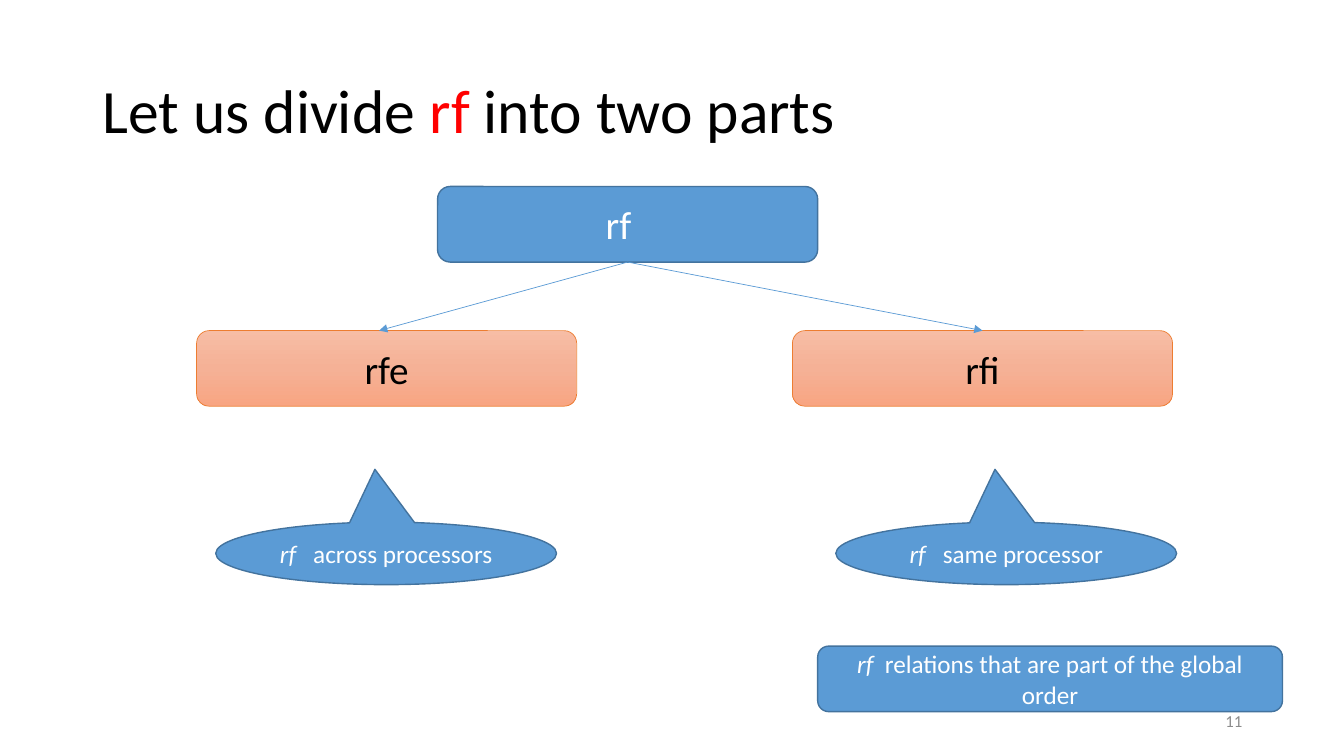
from copy import deepcopy

from pptx import Presentation
from pptx.dml.color import RGBColor
from pptx.enum.shapes import MSO_CONNECTOR, MSO_SHAPE
from pptx.enum.text import MSO_ANCHOR, PP_ALIGN
from pptx.oxml.ns import qn
from pptx.util import Pt
from pptx.oxml.xmlchemy import OxmlElement

PX = 9144  # 100 px to the inch


class Theme:
    font = "Calibri"
    black = RGBColor.from_string("000000")
    white = RGBColor.from_string("FFFFFF")
    red = RGBColor.from_string("FF0000")
    grey = RGBColor.from_string("8C8C8C")
    blue = RGBColor.from_string("5B9BD5")
    blue_edge = RGBColor.from_string("43739E")
    orange_edge = RGBColor.from_string("ED7D31")
    peach = [RGBColor.from_string(code) for code in ("F7BDA5", "F5B196", "F8A582")]
    title_size, node_size, note_size, number_size = Pt(44), Pt(28), Pt(18), Pt(12)


def write(shape, runs, size, alignment=PP_ALIGN.CENTER):
    """Fill the shape with runs of (text, colour, italic, extra letter spacing in points)."""
    frame = shape.text_frame
    frame.word_wrap = True
    frame.vertical_anchor = MSO_ANCHOR.MIDDLE
    paragraph = frame.paragraphs[0]
    paragraph.alignment = alignment
    for text, color, italic, spacing in runs:
        run = paragraph.add_run()
        run.text = text
        run.font.name, run.font.size = Theme.font, size
        run.font.color.rgb, run.font.italic = color, italic
        if spacing:
            run.font._element.set("spc", str(spacing * 100))
    return paragraph


def add_blue_shape(kind, left, top, width, height):
    shape = slide.shapes.add_shape(kind, left * PX, top * PX, width * PX, height * PX)
    shape.shadow.inherit = False
    shape.fill.solid()
    shape.fill.fore_color.rgb = Theme.blue
    shape.line.color.rgb = Theme.blue_edge
    shape.line.width = Pt(1)
    return shape


presentation = Presentation()
presentation.slide_width, presentation.slide_height = 1333 * PX, 750 * PX
slide = presentation.slides.add_slide(presentation.slide_layouts[6])

# Title
title = slide.shapes.add_textbox(92 * PX, 40 * PX, 1150 * PX, 145 * PX)
title_runs = [("Let us divide ", Theme.black, False, 0), ("rf ", Theme.red, False, 0),
              ("into two parts", Theme.black, False, 0)]
write(title, title_runs, Theme.title_size, PP_ALIGN.LEFT).line_spacing = 0.9

# Parent relation
NODE_WIDTH, NODE_HEIGHT = 377, 75
parent = add_blue_shape(MSO_SHAPE.ROUNDED_RECTANGLE, 434, 185, NODE_WIDTH, NODE_HEIGHT)
parent.text_frame.margin_right = 28 * PX
write(parent, [("rf", Theme.white, False, 0)], Theme.node_size)

# Two parts, each with its arrow and callout
CHILD_TOP = 328
parts = [("rfe", 195, 376, 214, "across processors"),
         ("rfi", 786, None, 829, "same processor")]
for name, left, arrow_x, callout_left, meaning in parts:
    child = add_blue_shape(MSO_SHAPE.ROUNDED_RECTANGLE, left, CHILD_TOP, NODE_WIDTH, NODE_HEIGHT)
    child.fill.gradient()
    child.fill.gradient_angle = 270
    stop_list = child._element.spPr.find(".//" + qn("a:gsLst"))
    stop_list.insert(1, deepcopy(stop_list[0]))
    for stop, color, position in zip(child.fill.gradient_stops, Theme.peach, (0, 0.5, 1)):
        stop.color.rgb, stop.position = color, position
    child.line.color.rgb = Theme.orange_edge
    child.line.width = Pt(0.5)
    write(child, [(name, Theme.black, False, 0)], Theme.node_size)

    arrow = slide.shapes.add_connector(
        MSO_CONNECTOR.STRAIGHT, 623 * PX, 260 * PX, (arrow_x or left) * PX, CHILD_TOP * PX)
    arrow.begin_connect(parent, 2)
    if arrow_x is None:
        arrow.end_connect(child, 0)
    arrow.line.color.rgb = Theme.blue
    arrow.line.width = Pt(0.5)
    arrowhead = OxmlElement("a:tailEnd")
    arrowhead.set("type", "triangle")
    arrow.line._get_or_add_ln().append(arrowhead)
    arrow._element.spPr.append(OxmlElement("a:effectLst"))

    callout = add_blue_shape(MSO_SHAPE.OVAL_CALLOUT, callout_left, 518, 338, 62)
    callout.adjustments[0], callout.adjustments[1] = -0.033, -1.345
    callout_runs = [("rf", Theme.white, True, 0), (" ", Theme.white, False, 8),
                    (meaning, Theme.white, False, 0)]
    write(callout, callout_runs, Theme.note_size)

# Remark on the global order
remark = add_blue_shape(MSO_SHAPE.ROUNDED_RECTANGLE, 811, 641, 461, 65)
remark_runs = [("rf", Theme.white, True, 0), (" ", Theme.white, False, 4),
               ("relations that are part of the global order", Theme.white, False, 0)]
write(remark, remark_runs, Theme.note_size)

# Slide number
number = slide.shapes.add_textbox(942 * PX, 695 * PX, 300 * PX, 40 * PX)
write(number, [("11", Theme.grey, False, 0)], Theme.number_size, PP_ALIGN.RIGHT)

presentation.save("out.pptx")
